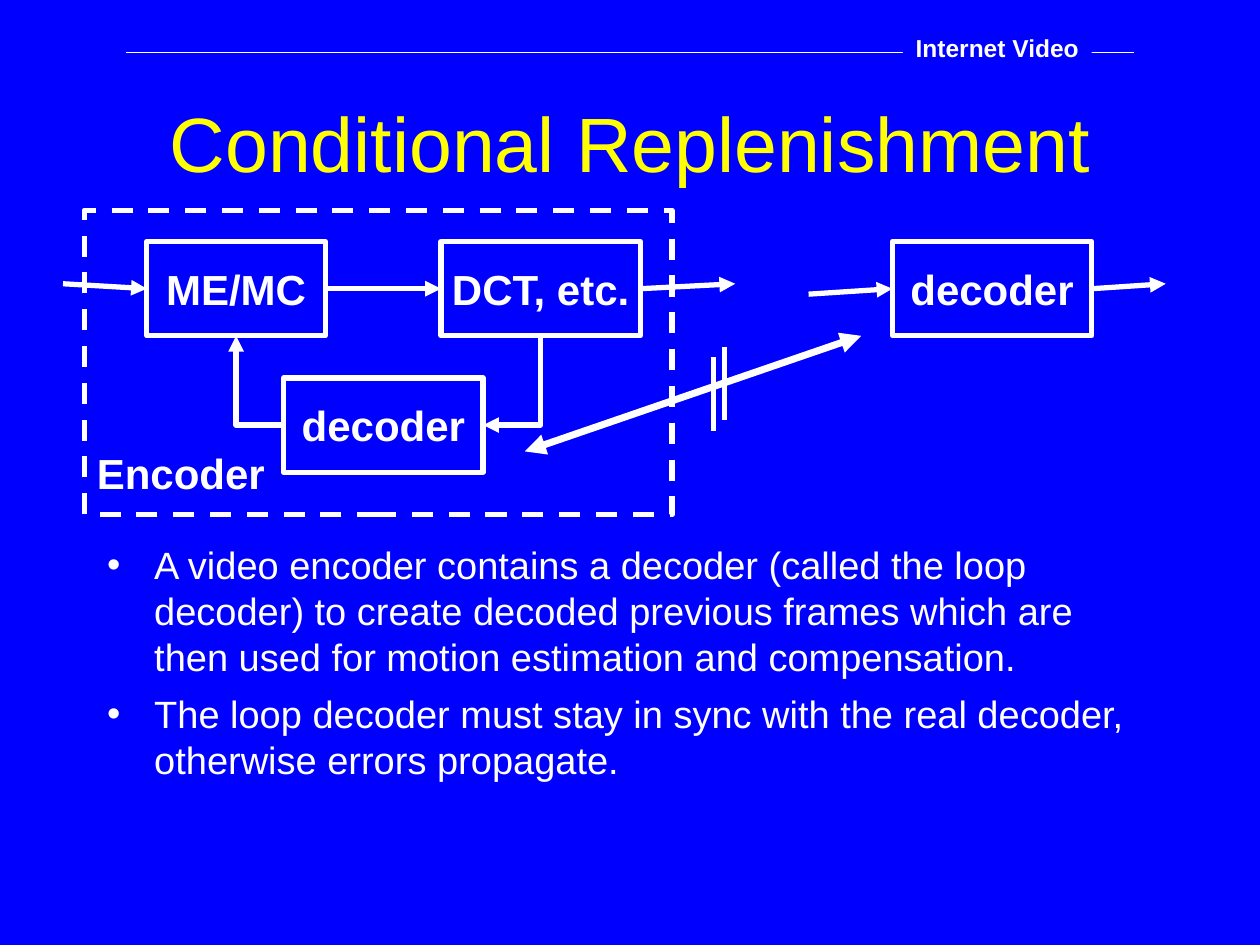
from lxml.etree import SubElement
from pptx import Presentation
from pptx.dml.color import RGBColor as Color
from pptx.enum.dml import MSO_LINE as Dash
from pptx.enum.shapes import MSO_CONNECTOR as Link, MSO_SHAPE as Shape
from pptx.enum.text import MSO_ANCHOR as Anchor, MSO_AUTO_SIZE as Fit, PP_ALIGN as Align
from pptx.oxml.ns import qn
from pptx.util import Cm, Pt

THEME = {
    "font": "Arial",
    "blue": Color(0x00, 0x00, 0xFF),
    "white": Color(0xFF, 0xFF, 0xFF),
    "yellow": Color(0xFF, 0xFF, 0x00),
    "title": 44, "label": 24, "body": 21.7, "header": 14,
    "thin": 0.75, "line": 3, "thick": 4,
}

TITLE = ("Conditional Replenishment", (1.91, 1.91, 21.59, 1.91))
HEADER = ("Internet Video", (18.2, 0.53, 3.81, 0.86))
ENCODER_LABEL = ("Encoder", (1.7, 8.89, 3.89, 1.27))
ENCODER_FRAME = (1.7, 4.24, 11.85, 6.14)
BODY_AREA = (1.91, 10.8, 21.59, 6.14)
BULLETS = [
    "A video encoder contains a decoder (called the loop decoder) to create decoded "
    "previous frames which are then used for motion estimation and compensation.",
    "The loop decoder must stay in sync with the real decoder, otherwise errors propagate.",
]

TOP, RIGHT, BOTTOM, LEFT = 0, 3, 2, 1
BOX_HEIGHT = 1.9
BOXES = {
    "estimation": ("ME/MC", 2.96, 4.87, 3.6),
    "transform": ("DCT, etc.", 8.89, 4.87, 4.02),
    "loop": ("decoder", 5.72, 7.62, 4.02),
    "receiver": ("decoder", 17.99, 4.87, 4.02),
}
ARROWS = [
    (("estimation", RIGHT), ("transform", LEFT)),
    (("transform", RIGHT), (14.82, 5.72)),
    ((1.27, 5.72), ("estimation", LEFT)),
    ((16.3, 5.93), ("receiver", LEFT)),
    (("receiver", RIGHT), (23.5, 5.72)),
]
BENDS = [
    (("transform", BOTTOM), ("loop", RIGHT), 90),
    (("loop", LEFT), ("estimation", BOTTOM), 180),
]
SYNC_ARROW = ((10.58, 9.1), (17.36, 6.77))
SYNC_BARS = [((14.39, 7.2), (14.39, 8.68)), ((14.61, 6.99), (14.61, 8.47))]
HEADER_RULE = ((2.54, 1.06), (22.86, 1.06))


def set_values(target, values):
    for name, value in values.items():
        setattr(target, name, value)


def write(frame, texts, size, color="white", bold=False, align=Align.CENTER, **frame_values):
    set_values(frame, {"vertical_anchor": Anchor.MIDDLE, "word_wrap": True,
                       "auto_size": Fit.NONE, **frame_values})
    for index, text in enumerate(texts):
        para = frame.paragraphs[0] if index == 0 else frame.add_paragraph()
        para.alignment = align
        span = para.add_run()
        span.text = text
        set_values(span.font, {"name": THEME["font"], "size": Pt(THEME[size]), "bold": bold})
        span.font.color.rgb = THEME[color]


def draw_line(shape, weight="line"):
    shape.line.color.rgb = THEME["white"]
    shape.line.width = Pt(THEME[weight])


def add_rectangle(slide, area):
    shape = slide.shapes.add_shape(Shape.RECTANGLE, *map(Cm, area))
    shape.shadow.inherit = False
    shape.fill.background()
    return shape


def add_link(slide, start, end, boxes, weight="line", ends=("tailEnd",), kind=Link.STRAIGHT):
    points = [(0, 0) if isinstance(spot[0], str) else spot for spot in (start, end)]
    link = slide.shapes.add_connector(kind, *(Cm(value) for point in points for value in point))
    for spot, connect in ((start, link.begin_connect), (end, link.end_connect)):
        if isinstance(spot[0], str):
            connect(boxes[spot[0]], spot[1])
    draw_line(link, weight)
    outline = link.line._get_or_add_ln()
    for name in ends:
        SubElement(outline, qn("a:" + name), type="triangle")
    SubElement(link._element.spPr, qn("a:effectLst"))
    return link


def add_bend(slide, start, end, angle, boxes):
    link = add_link(slide, start, end, boxes, kind=Link.ELBOW)
    middle_x = (link.begin_x + link.end_x) // 2
    middle_y = (link.begin_y + link.end_y) // 2
    width, height = abs(link.end_x - link.begin_x), abs(link.end_y - link.begin_y)
    if angle == 90:
        width, height = height, width
    set_values(link, {"left": middle_x - width // 2, "top": middle_y - height // 2,
                      "width": width, "height": height})
    properties = link._element.spPr
    transform = properties.find(qn("a:xfrm"))
    for flip in ("flipH", "flipV"):
        transform.attrib.pop(flip, None)
    transform.set("rot", str(angle * 60000))
    properties.find(qn("a:prstGeom")).set("prst", "bentConnector2")


def add_diagram(slide):
    boxes = {}
    for name, (text, left, top, width) in BOXES.items():
        box = boxes[name] = add_rectangle(slide, (left, top, width, BOX_HEIGHT))
        draw_line(box)
        write(box.text_frame, [text], "label", bold=True, word_wrap=False)
    for start, end, angle in BENDS:
        add_bend(slide, start, end, angle, boxes)
    for start, end in ARROWS:
        add_link(slide, start, end, boxes)

    frame = add_rectangle(slide, ENCODER_FRAME)
    draw_line(frame)
    frame.line.dash_style = Dash.DASH
    text, area = ENCODER_LABEL
    label = slide.shapes.add_textbox(*map(Cm, area))
    write(label.text_frame, [text], "label", bold=True, word_wrap=False,
          auto_size=Fit.SHAPE_TO_FIT_TEXT)

    add_link(slide, *SYNC_ARROW, boxes, weight="thick", ends=("headEnd", "tailEnd"))
    for start, end in SYNC_BARS:
        add_link(slide, start, end, boxes, ends=())


def add_header(slide):
    add_link(slide, *HEADER_RULE, {}, weight="thin", ends=())
    text, area = HEADER
    header = add_rectangle(slide, area)
    header.fill.solid()
    header.fill.fore_color.rgb = THEME["blue"]
    header.line.fill.background()
    write(header.text_frame, [text], "header", bold=True, auto_size=Fit.SHAPE_TO_FIT_TEXT)


def add_bullets(slide):
    frame = slide.shapes.add_textbox(*map(Cm, BODY_AREA)).text_frame
    write(frame, BULLETS, "body", align=Align.LEFT, vertical_anchor=Anchor.TOP)
    for index, para in enumerate(frame.paragraphs):
        properties = para._p.get_or_add_pPr()
        set_values(para, {"space_before": Pt(7 if index else 0)})
        properties.set("marL", str(Cm(0.95)))
        properties.set("indent", str(-Cm(0.95)))
        color = SubElement(SubElement(properties, qn("a:buClr")), qn("a:srgbClr"))
        color.set("val", str(THEME["white"]))
        SubElement(properties, qn("a:buFont"), typeface=THEME["font"])
        SubElement(properties, qn("a:buChar"), char="•")


def main():
    deck = Presentation()
    set_values(deck, {"slide_width": Cm(25.4), "slide_height": Cm(19.05)})
    slide = deck.slides.add_slide(deck.slide_layouts[5])
    slide.background.fill.solid()
    slide.background.fill.fore_color.rgb = THEME["blue"]

    text, area = TITLE
    title = slide.shapes.title
    set_values(title, dict(zip(("left", "top", "width", "height"), map(Cm, area))))
    write(title.text_frame, [text], "title", "yellow")

    add_diagram(slide)
    add_header(slide)
    add_bullets(slide)
    deck.save("out.pptx")


if __name__ == "__main__":
    main()
